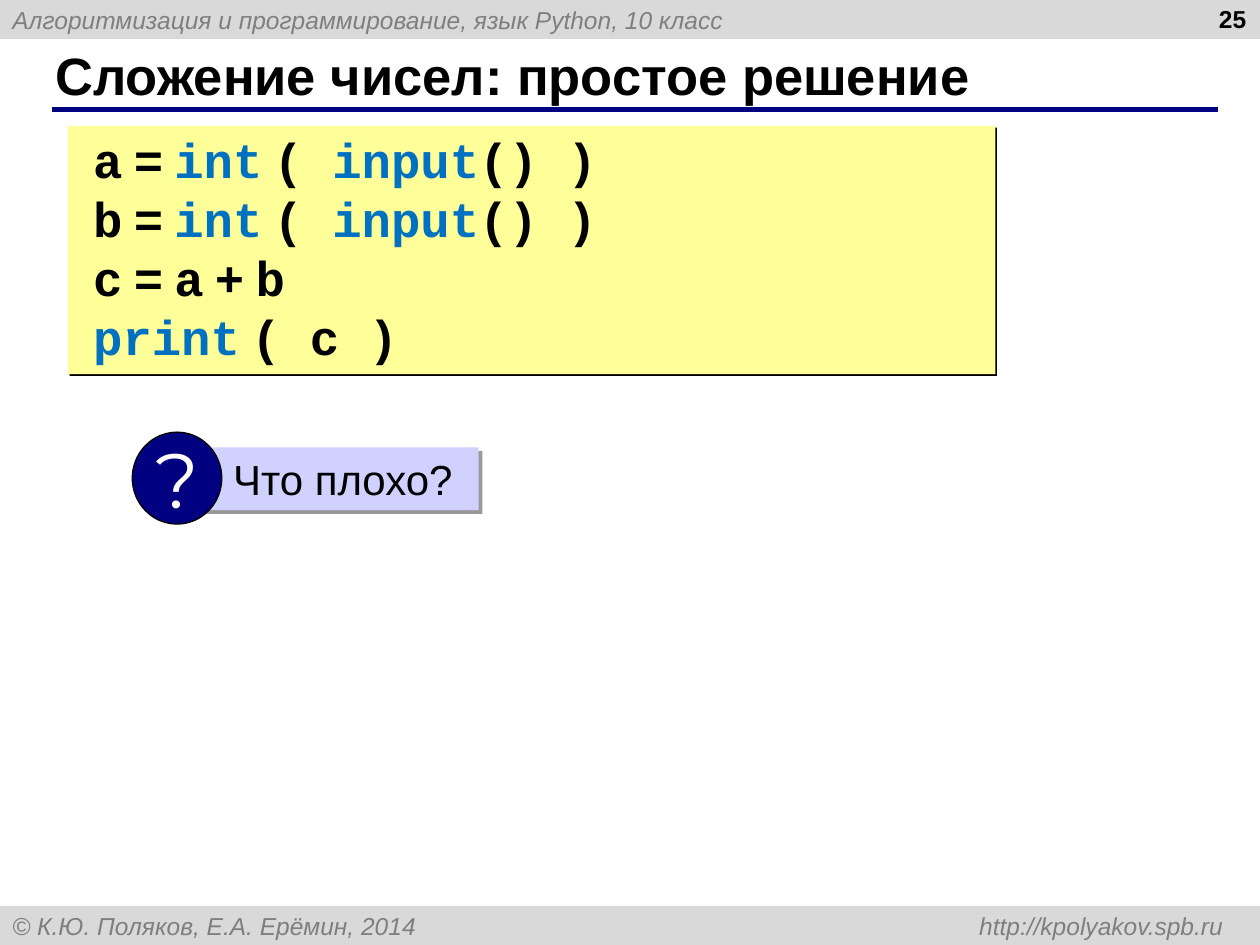
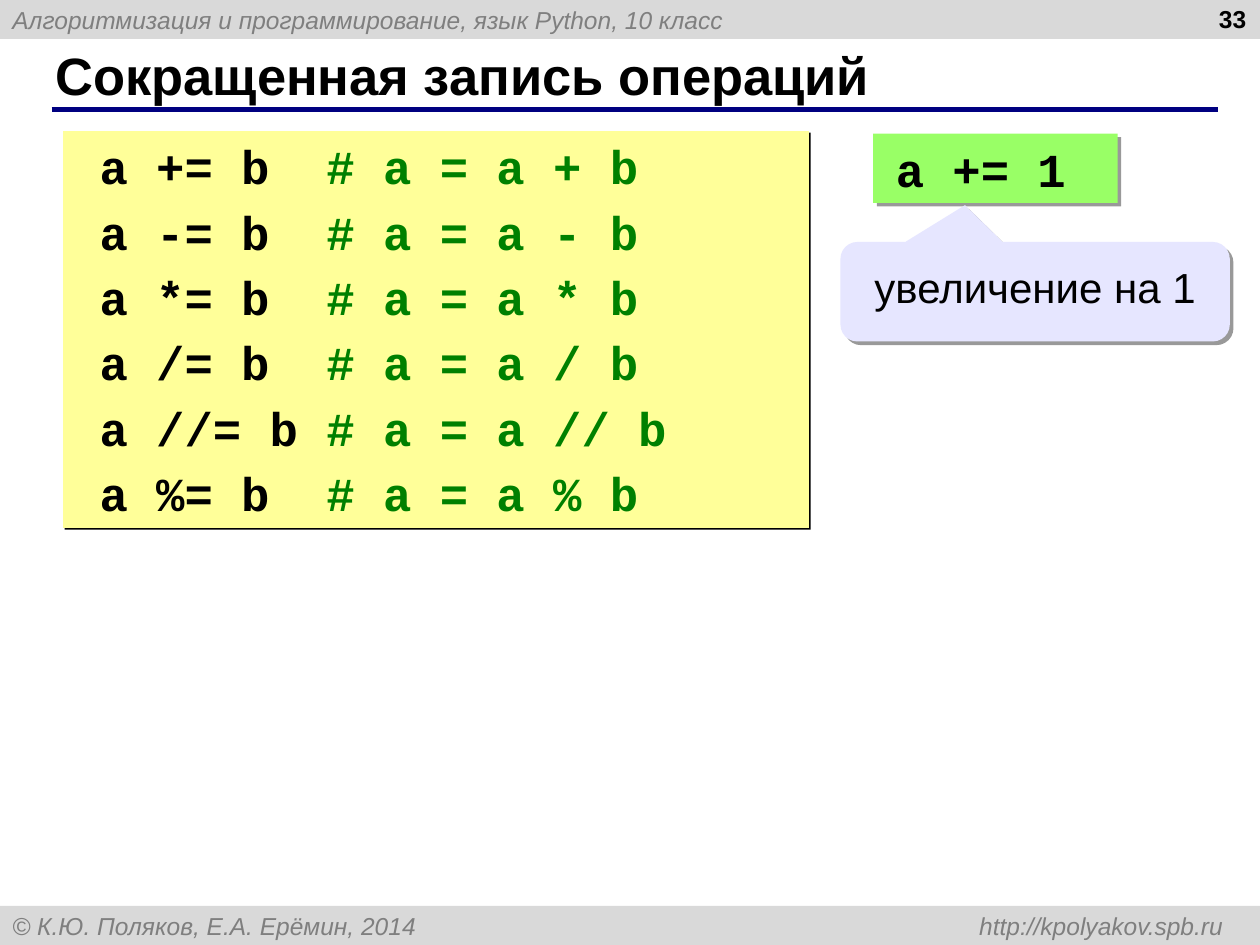
"""Build two lesson slides on addition and augmented assignment in Python."""
from lxml.etree import SubElement
from pptx import Presentation
from pptx.dml.color import RGBColor
from pptx.enum.shapes import MSO_CONNECTOR, MSO_SHAPE
from pptx.enum.text import MSO_ANCHOR, PP_ALIGN
from pptx.oxml.ns import qn
from pptx.util import Inches, Pt

BLACK = RGBColor(0x00, 0x00, 0x00)
WHITE = RGBColor(0xFF, 0xFF, 0xFF)
NAVY = RGBColor(0x00, 0x00, 0x80)
BAND_GRAY = RGBColor(0xD9, 0xD9, 0xD9)
TEXT_GRAY = RGBColor(0x7F, 0x7F, 0x7F)
CODE_YELLOW = RGBColor(0xFF, 0xFF, 0x99)
CODE_GREEN = RGBColor(0x99, 0xFF, 0x66)
KEYWORD_BLUE = RGBColor(0x00, 0x70, 0xC0)
COMMENT_GREEN = RGBColor(0x00, 0x80, 0x00)
QUESTION_LILAC = RGBColor(0xD1, 0xD1, 0xFF)
CALLOUT_LILAC = RGBColor(0xE6, 0xE6, 0xFF)

TITLE_FORMAT = {"name": "Arial", "size": Pt(30), "bold": True}
BAND_FORMAT = {"name": "Arial", "size": Pt(14), "italic": True}
NUMBER_FORMAT = {"name": "Arial", "size": Pt(14), "bold": True}
LABEL_FORMAT = {"name": "Arial", "size": Pt(24)}
MARK_FORMAT = {"name": "Montserrat", "size": Pt(44)}
CODE_FORMAT = {"name": "Courier New", "size": Pt(28), "bold": True}
SMALL_CODE_FORMAT = {**CODE_FORMAT, "size": Pt(27)}
GAP_FORMAT = {"name": "Arial", "size": Pt(23), "bold": True}

HEADER = "Алгоритмизация и программирование, язык Python, 10 класс"
FOOTER = "© К.Ю. Поляков, Е.А. Ерёмин, 2014 \thttp://kpolyakov.spb.ru"
BAND_HEIGHT = 0.31
HARD_SHADOW = {"distance": 1.4, "opacity": 100}
SOFT_SHADOW = {"distance": 3, "opacity": 40}
GAP = (" ", BLACK, GAP_FORMAT)


def add_run(paragraph, text, color, text_format):
    """Append a formatted run to a paragraph."""
    run = paragraph.add_run()
    run.text = text
    for attribute, value in text_format.items():
        setattr(run.font, attribute, value)
    run.font.color.rgb = color


def set_frame(shape, left_margin=0.1, top_margin=0.05, anchor=MSO_ANCHOR.MIDDLE, wrap=True):
    """Set the margins, anchor and wrapping of a shape and return its first paragraph."""
    frame_format = {
        "margin_left": Inches(left_margin),
        "margin_right": Inches(0.1),
        "margin_top": Inches(top_margin),
        "margin_bottom": Inches(0.05),
        "vertical_anchor": anchor,
        "word_wrap": wrap,
    }
    for attribute, value in frame_format.items():
        setattr(shape.text_frame, attribute, value)
    paragraph = shape.text_frame.paragraphs[0]
    paragraph.alignment = PP_ALIGN.LEFT
    return paragraph


def add_shadow(shape, distance, opacity):
    """Give a shape a sharp black shadow to the lower right."""
    effects = shape._element.spPr.find(qn("a:effectLst"))
    shadow = SubElement(effects, qn("a:outerShdw"), dist=str(Pt(distance)),
                        dir="2700000", algn="ctr", rotWithShape="0")
    color = SubElement(shadow, qn("a:srgbClr"), val=str(BLACK))
    SubElement(color, qn("a:alpha"), val=str(opacity * 1000))


def add_filled_shape(slide, kind, box, fill, shadow=None):
    """Add a borderless filled shape, with an optional shadow."""
    shape = slide.shapes.add_shape(kind, *map(Inches, box))
    shape.fill.solid()
    shape.fill.fore_color.rgb = fill
    shape.line.fill.background()
    shape.shadow.inherit = False
    if shadow:
        add_shadow(shape, **shadow)
    return shape


def add_band(slide, top, text):
    """Add a full-width gray band whose text may use a right tab."""
    band = add_filled_shape(slide, MSO_SHAPE.RECTANGLE, (0, top, 10, BAND_HEIGHT), BAND_GRAY)
    paragraph = set_frame(band)
    tabs = SubElement(paragraph._p.get_or_add_pPr(), qn("a:tabLst"))
    SubElement(tabs, qn("a:tab"), pos=str(Inches(9.61)), algn="r")
    add_run(paragraph, text, TEXT_GRAY, BAND_FORMAT)


def add_title_rule(slide):
    """Draw the navy line under the title."""
    rule = slide.shapes.add_connector(MSO_CONNECTOR.STRAIGHT, Inches(0.41), Inches(0.87),
                                      Inches(9.67), Inches(0.87))
    rule.line.color.rgb = NAVY
    rule.line.width = Pt(3)
    SubElement(rule._element.spPr, qn("a:effectLst"))


def add_lesson_slide(presentation, title, number):
    """Add a slide with bands, title, title rule and page number."""
    slide = presentation.slides.add_slide(presentation.slide_layouts[5])
    add_band(slide, 0, HEADER)
    add_band(slide, 7.5 - BAND_HEIGHT, FOOTER)
    add_title_rule(slide)
    placeholder = slide.shapes.title
    position = {"left": 0.34, "top": 0.33, "width": 9.16, "height": 0.52}
    for attribute, value in position.items():
        setattr(placeholder, attribute, Inches(value))
    add_run(set_frame(placeholder), title, BLACK, TITLE_FORMAT)
    number_box = slide.shapes.add_textbox(Inches(7.66), 0, Inches(2.33), Inches(0.3))
    paragraph = set_frame(number_box)
    paragraph.alignment = PP_ALIGN.RIGHT
    add_run(paragraph, str(number), BLACK, NUMBER_FORMAT)
    return slide


def add_code_box(slide, box, lines, text_format, fill=CODE_YELLOW, shadow=HARD_SHADOW,
                 left_margin=0.2, top_margin=0.05, spacing=0):
    """Add a code panel; each line is a list of (text, color[, format]) pieces."""
    shape = add_filled_shape(slide, MSO_SHAPE.RECTANGLE, box, fill, shadow)
    paragraph = set_frame(shape, left_margin, top_margin, MSO_ANCHOR.TOP)
    for index, line in enumerate(lines):
        if index:
            paragraph = shape.text_frame.add_paragraph()
            paragraph.alignment = PP_ALIGN.LEFT
            paragraph.space_before = Pt(spacing)
        for text, color, *special_format in line:
            add_run(paragraph, text, color, special_format[0] if special_format else text_format)


def add_question(slide, text):
    """Add a question label with a round question mark, grouped."""
    label = add_filled_shape(slide, MSO_SHAPE.RECTANGLE, (1.56, 3.55, 2.24, 0.5),
                             QUESTION_LILAC, SOFT_SHADOW)
    add_run(set_frame(label, 0.29), text, BLACK, LABEL_FORMAT)
    mark = add_filled_shape(slide, MSO_SHAPE.OVAL, (1.05, 3.43, 0.71, 0.73), NAVY)
    mark.line.color.rgb = BLACK
    mark.line.width = Pt(0.75)
    paragraph = set_frame(mark, wrap=False)
    paragraph.alignment = PP_ALIGN.CENTER
    add_run(paragraph, "?", WHITE, MARK_FORMAT)
    slide.shapes.add_group_shape([label, mark])


def add_callout(slide, box, text, adjustments):
    """Add a rounded callout with centred text."""
    callout = add_filled_shape(slide, MSO_SHAPE.ROUNDED_RECTANGULAR_CALLOUT, box,
                               CALLOUT_LILAC, SOFT_SHADOW)
    for index, value in enumerate(adjustments):
        callout.adjustments[index] = value
    paragraph = set_frame(callout)
    paragraph.alignment = PP_ALIGN.CENTER
    paragraph.line_spacing = 0.8
    add_run(paragraph, text, BLACK, LABEL_FORMAT)


def input_line(variable):
    """Return the code pieces that read an integer into a variable."""
    return [(variable, BLACK), GAP, ("=", BLACK), GAP, ("int", KEYWORD_BLUE), GAP,
            ("( ", BLACK), ("input", KEYWORD_BLUE), ("() )", BLACK)]


def operation_line(operator):
    """Return an augmented assignment and the comment that explains it."""
    statement = f"a {operator}= b"
    return [(f"{statement:<8}", BLACK), (f"# a = a {operator} b", COMMENT_GREEN)]


def add_addition_slide(presentation):
    """Build the slide on adding two numbers."""
    slide = add_lesson_slide(presentation, "Сложение чисел: простое решение", 25)
    sum_line = [("c", BLACK), GAP, ("=", BLACK), GAP, ("a", BLACK), GAP,
                ("+", BLACK), GAP, ("b", BLACK)]
    print_line = [("print", KEYWORD_BLUE), GAP, ("( c )", BLACK)]
    add_code_box(slide, (0.54, 1, 7.36, 1.97),
                 [input_line("a"), input_line("b"), sum_line, print_line],
                 CODE_FORMAT, top_margin=0.03)
    add_question(slide, "Что плохо?")


def add_operations_slide(presentation):
    """Build the slide on augmented assignment."""
    slide = add_lesson_slide(presentation, "Сокращенная запись операций", 33)
    operators = ["+", "-", "*", "/", "//", "%"]
    add_code_box(slide, (0.5, 1.04, 5.92, 3.15), map(operation_line, operators),
                 SMALL_CODE_FORMAT, left_margin=0.29, spacing=5)
    add_code_box(slide, (6.93, 1.06, 1.94, 0.55), [[("a += 1", BLACK)]], SMALL_CODE_FORMAT,
                 CODE_GREEN, SOFT_SHADOW, left_margin=0.18)
    add_callout(slide, (6.67, 1.92, 3.09, 0.79), "увеличение на 1", (-0.18, -0.87, 0.17))


def main():
    """Create and save the presentation."""
    presentation = Presentation()
    presentation.slide_width = Inches(10)
    presentation.slide_height = Inches(7.5)
    add_addition_slide(presentation)
    add_operations_slide(presentation)
    presentation.save("out.pptx")


if __name__ == "__main__":
    main()
